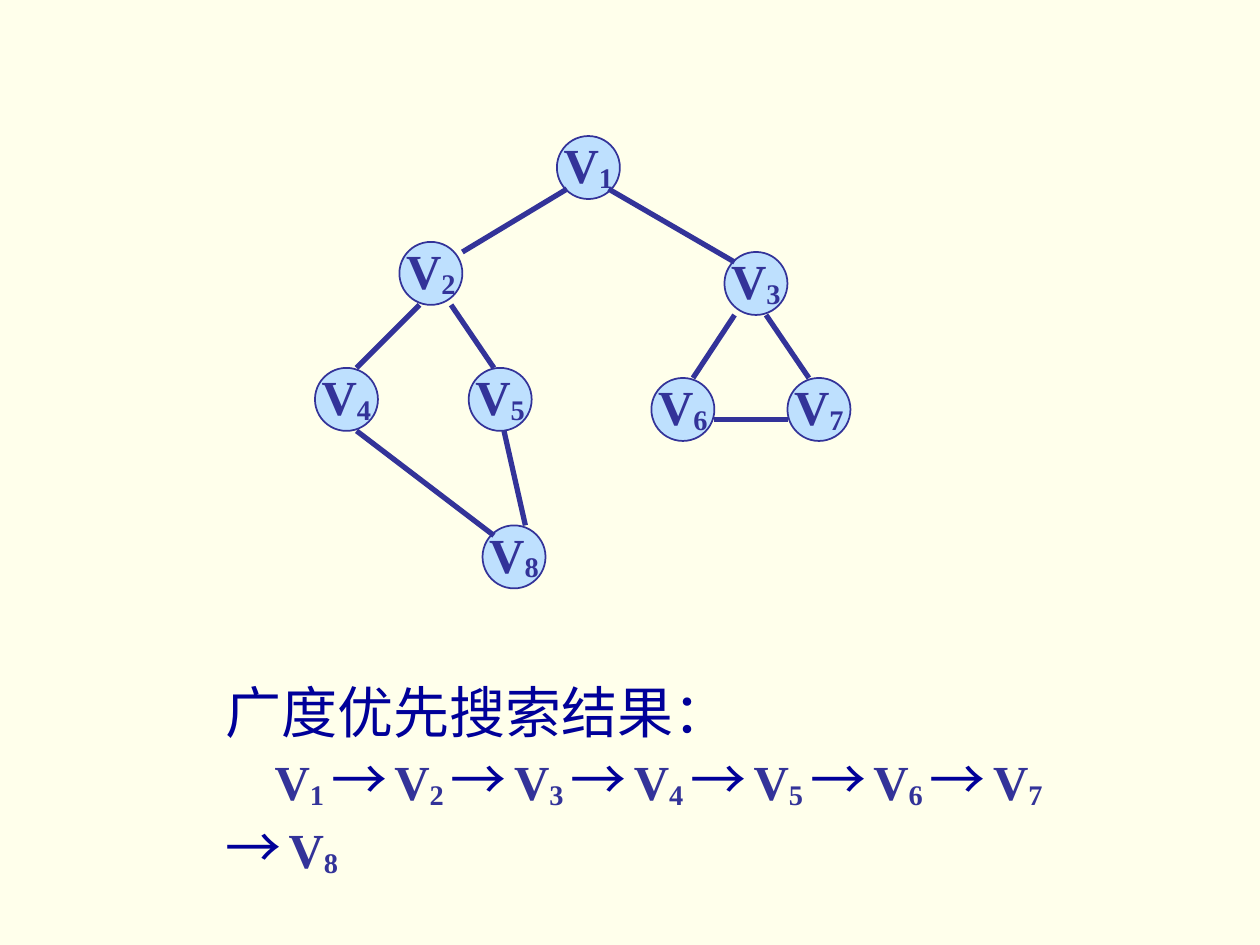
from lxml import etree
from pptx import Presentation
from pptx import util as u
from pptx.dml.color import RGBColor
from pptx.enum import shapes as sh, text as tx
from pptx.oxml import ns

NAVY, INK, SKY = "000099", "333399", "BEE0FE"
SERIF, SANS = "Times New Roman", "Noto Sans CJK SC"


def rgb(code):
    return RGBColor.from_string(code)


def add_run(para, words, sub=False, sans=False):
    run = para.add_run()
    run.text = words
    font = run.font
    font.size = u.Pt(32 if sans else 28)
    font.bold = not sans
    font.color.rgb = rgb(NAVY if sans else INK)
    font.name = SANS if sans else SERIF
    props = run._r.get_or_add_rPr()
    etree.SubElement(props, ns.qn("a:ea")).set("typeface", font.name)
    if sub:
        props.set("baseline", "-10000")


prs = Presentation()
prs.slide_width, prs.slide_height = u.Inches(10), u.Inches(7.5)
slide = prs.slides.add_slide(prs.slide_layouts[6])
slide.background.fill.solid()
slide.background.fill.fore_color.rgb = rgb("FFFFEB")

# Search result
box = slide.shapes.add_textbox(u.Inches(1.69), u.Inches(5.33),
                               u.Inches(6.89), u.Inches(1.17))
frame = box.text_frame
frame.word_wrap = True
add_run(frame.paragraphs[0], "广度优先搜索结果：", sans=True)
order = frame.add_paragraph()
order._p.get_or_add_pPr().set("indent", str(u.Inches(0.39)))
for num in range(1, 9):
    if num > 1:
        add_run(order, " ", sub=True)
        add_run(order, "→", sans=True)
        add_run(order, " ", sub=True)
    add_run(order, "V")
    add_run(order, str(num), sub=True)

# Graph nodes V1 to V8: left, top
nodes = [(4.42, 1.08), (3.17, 1.92), (5.75, 2), (2.5, 2.92),
         (3.72, 2.92), (5.17, 3), (6.25, 3), (3.83, 4.17)]
for num, (left, top) in enumerate(nodes, 1):
    node = slide.shapes.add_shape(sh.MSO_SHAPE.OVAL, u.Inches(left), u.Inches(top),
                                  u.Inches(0.5), u.Inches(0.5))
    node.shadow.inherit = False
    node.fill.solid()
    node.fill.fore_color.rgb = rgb(SKY)
    node.line.color.rgb = rgb(INK)
    node.line.width = u.Pt(1)
    frame = node.text_frame
    frame.word_wrap = False
    frame.margin_top = 0
    frame.vertical_anchor = tx.MSO_ANCHOR.MIDDLE
    label = frame.paragraphs[0]
    label.alignment = tx.PP_ALIGN.CENTER
    add_run(label, "V")
    add_run(label, str(num), sub=True)

# Graph edges: start x, y, end x, y
edges = [(4.5, 1.5, 3.67, 2), (4.83, 1.5, 5.83, 2.08), (3.33, 2.42, 2.83, 2.92),
         (3.58, 2.42, 3.92, 2.92), (2.83, 3.42, 3.92, 4.25), (4, 3.42, 4.17, 4.17),
         (5.83, 2.5, 5.5, 3), (6.08, 2.5, 6.42, 3), (5.67, 3.33, 6.25, 3.33)]
for ends in edges:
    edge = slide.shapes.add_connector(sh.MSO_CONNECTOR.STRAIGHT, *map(u.Inches, ends))
    edge.line.color.rgb = rgb(INK)
    edge.line.width = u.Pt(3)
    etree.SubElement(edge._element.spPr, ns.qn("a:effectLst"))

prs.save("out.pptx")
